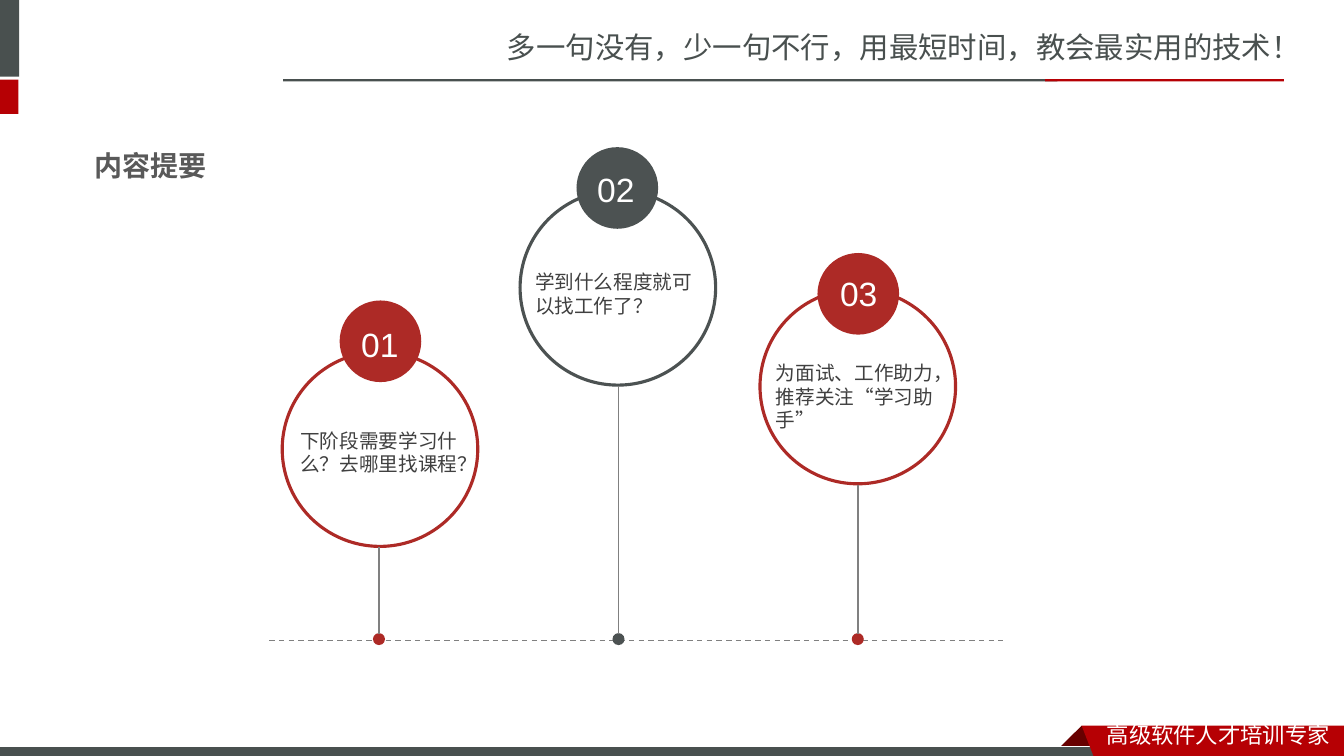
import pptx
import pptx.util
import pptx.dml.color
import pptx.enum.dml
import pptx.enum.shapes
import pptx.enum.text
import pptx.oxml.ns
import lxml.etree

Pt = pptx.util.Pt
SHAPE = pptx.enum.shapes.MSO_SHAPE
ANCHOR = pptx.enum.text.MSO_ANCHOR
ALIGN = pptx.enum.text.PP_ALIGN
COLORS = {
    "slate": "49504F", "crimson": "B60004", "maroon": "680000",
    "red": "AD2A26", "gray": "4C5252", "rule": "808080",
    "body": "404040", "heading": "595959", "white": "FFFFFF",
}

deck = pptx.Presentation()
deck.slide_width, deck.slide_height = Pt(960), Pt(540)
slide = deck.slides.add_slide(deck.slide_layouts[6])
shapes = slide.shapes


def add_text(text, left, top, width, height, size, color, font="Noto Sans CJK JP",
             bold=False, align=ALIGN.LEFT, anchor=ANCHOR.TOP, inset=3.6, spacing=None):
    box = shapes.add_textbox(Pt(left), Pt(top), Pt(width), Pt(height))
    frame = box.text_frame
    frame.word_wrap = True
    frame.vertical_anchor = anchor
    frame.margin_top = Pt(inset)
    paragraph = frame.paragraphs[0]
    paragraph.alignment = align
    if spacing:
        paragraph.line_spacing = Pt(spacing)
    run = paragraph.add_run()
    run.text = text
    run.font.size = Pt(size)
    run.font.bold = bold
    run.font.name = font
    run.font.color.rgb = pptx.dml.color.RGBColor.from_string(COLORS[color])
    east_asian = lxml.etree.SubElement(run._r.rPr, pptx.oxml.ns.qn("a:ea"))
    east_asian.set("typeface", font)


def paint(shape, fill=None, line=None, weight=0.75):
    if shape.shape_type == pptx.enum.shapes.MSO_SHAPE_TYPE.LINE:
        lxml.etree.SubElement(shape._element.spPr, pptx.oxml.ns.qn("a:effectLst"))
    else:
        shape.shadow.inherit = False
        if fill:
            shape.fill.solid()
            shape.fill.fore_color.rgb = pptx.dml.color.RGBColor.from_string(COLORS[fill])
        else:
            shape.fill.background()
    if line:
        shape.line.color.rgb = pptx.dml.color.RGBColor.from_string(COLORS[line])
        shape.line.width = Pt(weight)
    else:
        shape.line.fill.background()


add_text("多一句没有，少一句不行，用最短时间，教会最实用的技术！", 355, 20.2, 605.5, 33.8,
         size=21, color="slate", font="Noto Sans CJK SC", inset=0.6)

for left, top, width, height, fill in [
    (-4.3, 0, 18, 54.7, "slate"),
    (-4.3, 56.9, 17.5, 24.5, "crimson"),
    (202.3, 56.6, 553, 1.6, "slate"),
    (746.6, 56.6, 170.6, 1.6, "crimson"),
]:
    bar = shapes.add_shape(SHAPE.RECTANGLE, Pt(left), Pt(top), Pt(width), Pt(height))
    paint(bar, fill)

ribbon_fold = [(772.6, 518.4), (788.4, 534.2), (787.7, 535), (757.4, 535), (756.7, 534.2)]
ribbon_face = [(772.6, 518.4), (960, 518.4), (960, 542.9), (781.9, 542.2)]
for corners, fill in [(ribbon_fold, "maroon"), (ribbon_face, "crimson")]:
    if corners is ribbon_face:
        footer_bar = shapes.add_shape(SHAPE.RECTANGLE, Pt(-0.7), Pt(533.5), Pt(792), Pt(8.6))
        paint(footer_bar, "slate", line="white")
    points = [(Pt(x), Pt(y)) for x, y in corners]
    outline = shapes.build_freeform(*points[0])
    outline.add_line_segments(points[1:], close=True)
    paint(outline.convert_to_shape(), fill)

add_text("高级软件人才培训专家", 783.4, 514.8, 176.4, 26.6,
         size=16, color="white", font="Noto Sans CJK SC", inset=0.6)

STRAIGHT = pptx.enum.shapes.MSO_CONNECTOR.STRAIGHT
timeline = shapes.add_connector(STRAIGHT, Pt(192.2), Pt(457.6), Pt(716.4), Pt(457.6))
paint(timeline, line="rule", weight=1)
timeline.line.dash_style = pptx.enum.dml.MSO_LINE.DASH

steps = [
    ("01", "下阶段需要学习什么？去哪里找课程？", "red",
     (201.6, 251.3), (242.6, 214.6), (246.2, 227.5), (207.4, 290.9), 270.7),
    ("02", "学到什么程度就可以找工作了？", "gray",
     (371.5, 136.1), (411.8, 105.1), (414.7, 117.4), (375.1, 177.8), 441.8),
    ("03", "为面试、工作助力，推荐关注“学习助手”", "red",
     (542.9, 206.6), (583.9, 180.7), (588.2, 191.5), (547.2, 251.3), 612.7),
]
for number, question, color, ring_at, badge_at, number_at, question_at, stem_x in steps:
    for (left, top), width, height, fill, line in [
        ((stem_x - 4.3, 452.2), 8.6, 8.6, color, None),
        (ring_at, 139.7, 139, None, color),
        (badge_at, 58.3, 58.3, color, None),
    ]:
        disc = shapes.add_shape(SHAPE.OVAL, Pt(left), Pt(top), Pt(width), Pt(height))
        paint(disc, fill, line, weight=2.25)
    add_text(number, *number_at, 50.4, 36, size=24, color="white", font="Arial",
             align=ALIGN.CENTER, anchor=ANCHOR.MIDDLE)
    add_text(question, *question_at, 130.3, 61.9, size=14, color="body",
             anchor=ANCHOR.MIDDLE, inset=5.6, spacing=16.7)
    stem = shapes.add_connector(STRAIGHT, Pt(stem_x), Pt(ring_at[1] + 139.5), Pt(stem_x), Pt(452.9))
    paint(stem, line="rule", weight=1.25)

add_text("内容提要", 60.5, 105.8, 146.9, 31.7, size=20, color="heading", bold=True, inset=0.6)

deck.save("out.pptx")
